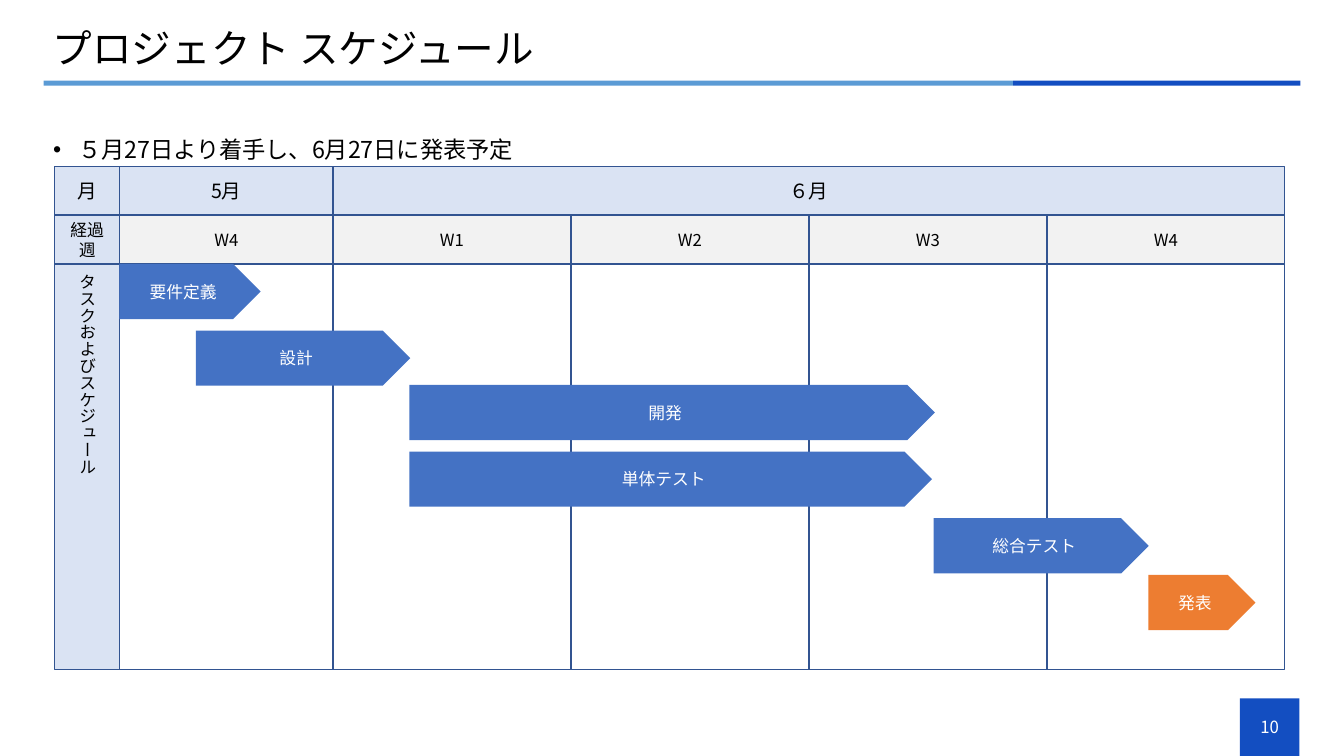
from dataclasses import dataclass

from lxml import etree
from pptx import Presentation
from pptx.dml.color import RGBColor
from pptx.enum.shapes import MSO_SHAPE
from pptx.enum.text import MSO_ANCHOR, PP_ALIGN
from pptx.oxml.ns import qn
from pptx.util import Cm, Pt

RECT, PENTAGON = MSO_SHAPE.RECTANGLE, MSO_SHAPE.PENTAGON
MIDDLE, TOP = MSO_ANCHOR.MIDDLE, MSO_ANCHOR.TOP
LEFT, CENTER = PP_ALIGN.LEFT, PP_ALIGN.CENTER


@dataclass(frozen=True)
class Theme:
    font: str = "Noto Sans CJK JP"
    ink: str = "000000"
    paper: str = "FFFFFF"
    accent: str = "134EC1"
    rule: str = "5B9BD5"
    grid: str = "325491"
    header: str = "DAE3F3"
    week: str = "F2F2F2"
    task: str = "4472C4"
    milestone: str = "ED7D31"
    title_size: float = 28.3
    lead_size: float = 16.6
    month_size: float = 14
    body_size: float = 12
    grid_width: float = 1


THEME = Theme()


@dataclass(frozen=True)
class Box:
    """An area of the slide, in centimetres."""
    x: float
    y: float
    w: float
    h: float

    def inner(self, dx, dy, w, h):
        return Box(self.x + dx, self.y + dy, w, h)

    def lengths(self):
        return [Cm(value) for value in (self.x, self.y, self.w, self.h)]


def write(holder, words, size, color, align=CENTER, anchor=MIDDLE):
    frame = holder.text_frame
    frame.word_wrap = True
    frame.vertical_anchor = anchor
    paragraph = frame.paragraphs[0]
    paragraph.alignment = align
    run = paragraph.add_run()
    run.text = words
    run.font.size = Pt(size)
    run.font.name = THEME.font
    run.font.color.rgb = RGBColor.from_string(color)
    east_asian = etree.SubElement(run.font._element, qn("a:ea"))
    east_asian.set("typeface", THEME.font)
    return paragraph


def add_block(slide, box, fill, line=None, kind=RECT):
    block = slide.shapes.add_shape(kind, *box.lengths())
    block.shadow.inherit = False
    block.fill.solid()
    block.fill.fore_color.rgb = RGBColor.from_string(fill)
    if line:
        block.line.color.rgb = RGBColor.from_string(line)
        block.line.width = Pt(THEME.grid_width)
    else:
        block.line.fill.background()
    return block


def add_cell(slide, box, fill, words="", size=THEME.body_size, align=CENTER):
    cell = add_block(slide, box, fill, THEME.grid)
    if words:
        write(cell, words, size, THEME.ink, align)
    return cell


def add_heading(slide, box):
    """Title above a two-tone rule."""
    title = slide.shapes.add_textbox(*box.inner(0, 0, box.w, 1.4).lengths())
    paragraph = write(title, "プロジェクト スケジュール", THEME.title_size, THEME.ink, LEFT)
    paragraph.line_spacing = 0.9
    light_width, dark_width, thickness = 24.43, 7.24, 0.13
    rule_top = box.h - thickness
    add_block(slide, box.inner(0.02, rule_top, light_width, thickness), THEME.rule)
    add_block(slide, box.inner(0.02 + light_width, rule_top, dark_width, thickness),
              THEME.accent)


def add_lead(slide, box):
    """Bulleted summary line."""
    lead = slide.shapes.add_textbox(*box.lengths())
    paragraph = write(lead, "５月27日より着手し、6月27日に発表予定", THEME.lead_size,
                      THEME.ink, LEFT, TOP)
    paragraph.line_spacing = 0.8
    paragraph.space_before = Pt(10)
    properties = paragraph._p.get_or_add_pPr()
    indent = Cm(0.63)
    properties.set("marL", str(indent))
    properties.set("indent", str(-indent))
    etree.SubElement(properties, qn("a:buFont")).set("typeface", "Arial")
    etree.SubElement(properties, qn("a:buChar")).set("char", "•")


def add_schedule(slide, box):
    """Calendar grid with task arrows over it."""
    label_width, may_width, row_height = 1.64, 5.37, 1.23
    june_left = label_width + may_width
    june_width = box.w - june_left
    week_width = june_width / 4
    body_top = 2 * row_height
    body_height = box.h - body_top

    # Row labels
    add_cell(slide, box.inner(0, 0, label_width, row_height), THEME.header,
             "月", THEME.month_size)
    add_cell(slide, box.inner(0, row_height, label_width, row_height), THEME.header,
             "経過週")
    tasks_label = add_cell(slide, box.inner(0, body_top, label_width, body_height),
                           THEME.header, "タスクおよびスケジュール", align=LEFT)
    tasks_label.element.txBody.bodyPr.set("vert", "eaVert")

    # Months
    for left, width, month in ((label_width, may_width, "5月"),
                               (june_left, june_width, "６月")):
        add_cell(slide, box.inner(left, 0, width, row_height), THEME.header,
                 month, THEME.month_size)

    # Weeks
    weeks = [(label_width, may_width, "W4")]
    weeks += [(june_left + i * week_width, week_width, f"W{i + 1}") for i in range(4)]
    for left, width, week in weeks:
        add_cell(slide, box.inner(left, row_height, width, row_height), THEME.week, week)
        add_cell(slide, box.inner(left, body_top, width, body_height), THEME.paper)

    # Tasks: name, left, drop below the week row, length, colour
    tasks = (
        ("要件定義", 1.63, 0, 3.56, THEME.task),
        ("設計", 3.56, 1.68, 5.4, THEME.task),
        ("開発", 8.94, 3.05, 13.24, THEME.task),
        ("単体テスト", 8.94, 4.73, 13.17, THEME.task),
        ("総合テスト", 22.15, 6.41, 5.42, THEME.task),
        ("発表", 27.56, 7.84, 2.7, THEME.milestone),
    )
    for name, left, drop, length, color in tasks:
        arrow = add_block(slide, box.inner(left, body_top + drop, length, 1.39),
                          color, kind=PENTAGON)
        write(arrow, name, THEME.body_size, THEME.paper)


def add_page_number(slide, box):
    """Number in the corner tab."""
    tab = add_block(slide, box, THEME.accent)
    write(tab, "10", THEME.body_size, THEME.paper)


def main():
    deck = Presentation()
    deck.slide_width, deck.slide_height = Cm(33.87), Cm(19.05)
    slide = deck.slides.add_slide(deck.slide_layouts[6])
    add_heading(slide, Box(1.08, 0.58, 31.65, 1.58))
    add_lead(slide, Box(1.09, 3.43, 31.65, 0.86))
    add_schedule(slide, Box(1.38, 4.19, 31, 12.68))
    add_page_number(slide, Box(31.25, 17.6, 1.5, 1.45))
    deck.save("out.pptx")


if __name__ == "__main__":
    main()
